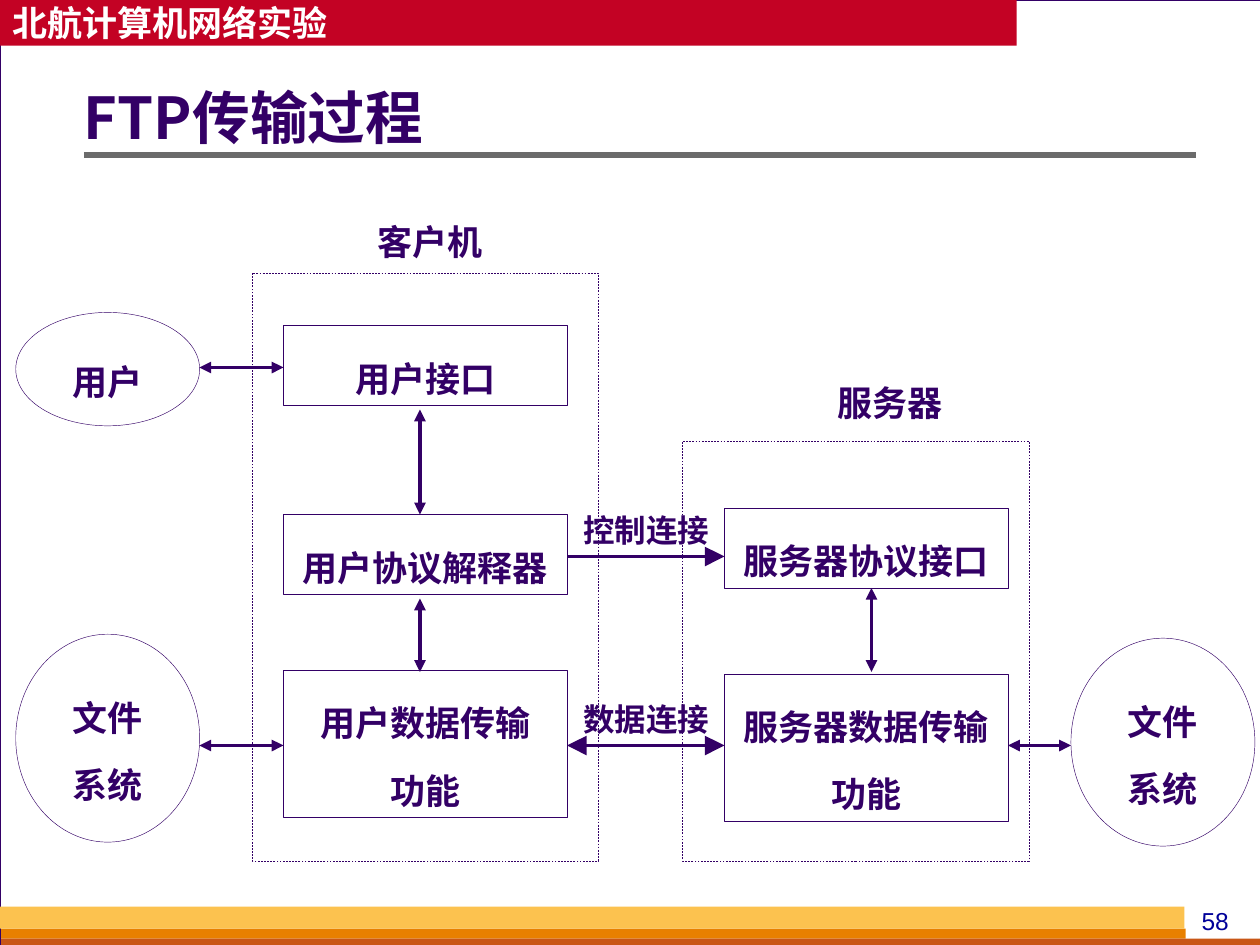
from dataclasses import dataclass
from typing import Optional

import pptx
import pptx.dml.color
import pptx.enum.dml
import pptx.enum.shapes
import pptx.enum.text
import pptx.oxml.ns
import pptx.util
from lxml import etree

COLORS = {
    "ink": "330066", "paper": "FFFFFF", "backdrop": "D8DADA", "banner": "C30224",
    "rule": "6B6B6B", "number": "000099",
    "gold": "FCC24F", "orange": "E88000", "rust": "C95616",
}
LATIN, CHINESE = "Arial", "Noto Sans CJK SC"
CELL = 1 / 12  # inches: the slide is a grid of 120 columns and 90 rows
SHAPE = pptx.enum.shapes.MSO_SHAPE
ALIGN = pptx.enum.text.PP_ALIGN
ANCHOR = pptx.enum.text.MSO_ANCHOR


@dataclass(frozen=True)
class Area:
    column: float
    row: float
    columns: float
    rows: float

    def lengths(self) -> list:
        return [cells(n) for n in (self.column, self.row, self.columns, self.rows)]


@dataclass(frozen=True)
class Node:
    lines: tuple
    area: Area
    kind: int = SHAPE.RECTANGLE


@dataclass(frozen=True)
class Arrow:
    start: tuple
    end: tuple
    size: str = "med"
    both_ways: bool = True


CLIENT_FRAME = Area(24, 26, 33, 56)
CLIENT_NODES = [
    Node(("用户接口",), Area(27, 31, 27, 7.64)),
    Node(("用户协议解释器",), Area(27, 49, 27, 7.64)),
    Node(("用户数据传输", "功能"), Area(27, 63.84, 27, 14)),
]
SERVER_FRAME = Area(65, 42, 33, 40)
SERVER_NODES = [
    Node(("服务器协议接口",), Area(69, 48.36, 27, 7.64)),
    Node(("服务器数据传输功能",), Area(69, 64.2, 27, 14)),
]
OUTER_NODES = [
    Node(("用户",), Area(1.5, 29.76, 17.52, 10.8), SHAPE.OVAL),
    Node(("文件", "系统"), Area(1.5, 60.4, 17.52, 19.8), SHAPE.OVAL),
    Node(("文件", "系统"), Area(102, 60.78, 17.52, 19.8), SHAPE.OVAL),
]
ARROWS = [
    Arrow((19, 35), (27, 35)),
    Arrow((40, 39), (40, 49)),
    Arrow((54, 53), (69, 53), "lg", both_ways=False),
    Arrow((54, 71), (69, 71), "lg"),
    Arrow((40, 57), (40, 64)),
    Arrow((83, 56), (83, 64)),
    Arrow((19, 71), (27, 71)),
    Arrow((96, 71), (102, 71)),
]
LABELS = [
    ("客户机", Area(34, 18, 14, 7.68), 20),
    ("服务器", Area(77.76, 33.36, 14, 7.68), 20),
    ("控制连接", Area(53.56, 45.96, 16, 6.96), 18),
    ("数据连接", Area(53.56, 63.9, 16, 6.96), 18),
]
BARS = [
    (Area(0.12, 88.44, 112.8, 0.96), "orange"),
    (Area(0.12, 89.4, 120, 0.6), "rust"),
    (Area(0, 86.34, 112.8, 2.1), "gold"),
]


def cells(count: float) -> int:
    return pptx.util.Inches(count * CELL)


def color(name: str):
    return pptx.dml.color.RGBColor.from_string(COLORS[name])


def write(frame, lines: tuple, size: float, ink: str = "ink", latin: str = LATIN,
          bold: bool = True, align=ALIGN.CENTER, spacing: float = 1.0) -> None:
    for index, line in enumerate(lines):
        para = frame.add_paragraph() if index else frame.paragraphs[0]
        para.text = line
        para.alignment = align
        para.line_spacing = spacing
        para.font.size = pptx.util.Pt(size)
        para.font.bold = bold
        para.font.color.rgb = color(ink)
        para.font.name = latin
        properties = para._p.pPr.find(pptx.oxml.ns.qn("a:defRPr"))
        etree.SubElement(properties, pptx.oxml.ns.qn("a:ea"), typeface=CHINESE)


def draw_shape(shapes, area: Area, fill: Optional[str] = None, line: float = 0,
               kind=SHAPE.RECTANGLE):
    shape = shapes.add_shape(kind, *area.lengths())
    shape.shadow.inherit = False
    if fill:
        shape.fill.solid()
        shape.fill.fore_color.rgb = color(fill)
    else:
        shape.fill.background()
    if line:
        shape.line.color.rgb = color("ink")
        shape.line.width = pptx.util.Pt(line)
    else:
        shape.line.fill.background()
    return shape


def draw_node(shapes, node: Node) -> None:
    shape = draw_shape(shapes, node.area, line=0.25, kind=node.kind)
    shape.text_frame.word_wrap = True
    shape.text_frame.vertical_anchor = ANCHOR.MIDDLE
    write(shape.text_frame, node.lines, 20, spacing=1.6)


def draw_host(page, frame: Area, nodes: list) -> None:
    """Group a dashed frame with the boxes inside it."""
    group = page.shapes.add_group_shape()
    border = draw_shape(group.shapes, frame, line=0.25)
    border.line.dash_style = pptx.enum.dml.MSO_LINE.DASH
    for node in nodes:
        draw_node(group.shapes, node)


def draw_line(page, start: tuple, end: tuple, ink: str, width: float):
    line = page.shapes.add_connector(
        pptx.enum.shapes.MSO_CONNECTOR.STRAIGHT, *map(cells, start + end))
    line.line.color.rgb = color(ink)
    line.line.width = pptx.util.Pt(width)
    etree.SubElement(line._element.spPr, pptx.oxml.ns.qn("a:effectLst"))
    return line


def draw_arrow(page, arrow: Arrow) -> None:
    line = draw_line(page, arrow.start, arrow.end, "ink", 2.25)
    for end in ("headEnd", "tailEnd") if arrow.both_ways else ("tailEnd",):
        etree.SubElement(line.line._get_or_add_ln(), pptx.oxml.ns.qn(f"a:{end}"),
                         type="triangle", w=arrow.size, len=arrow.size)


def draw_backdrop(page) -> None:
    page.background.fill.solid()
    page.background.fill.fore_color.rgb = color("backdrop")
    draw_shape(page.shapes, Area(0, 0, 120.12, 90), "paper", 0.75)
    banner = draw_shape(page.shapes, Area(0, 0, 96.84, 4.36), "banner")
    banner.text_frame.vertical_anchor = ANCHOR.MIDDLE
    write(banner.text_frame, ("北航计算机网络实验",), 20, "paper", CHINESE, align=ALIGN.LEFT)
    for area, fill in BARS:
        draw_shape(page.shapes, area, fill)
    number = page.shapes.add_textbox(*Area(111.96, 85.68, 7.56, 4.08).lengths())
    number.text_frame.word_wrap = True
    write(number.text_frame, ("58",), 14, "number", bold=False)
    draw_line(page, (8, 14.76), (113.88, 14.76), "rule", 3)


def draw_title(page) -> None:
    title = page.shapes.title
    title.left, title.top, title.width, title.height = Area(8, 5.46, 105.84, 12.12).lengths()
    frame = title.text_frame
    frame.margin_left = 0
    frame.vertical_anchor = ANCHOR.MIDDLE
    frame.auto_size = pptx.enum.text.MSO_AUTO_SIZE.NONE
    write(frame, ("FTP传输过程",), 33, latin=CHINESE, align=ALIGN.LEFT, spacing=0.9)
    page.shapes._spTree.append(title._element)  # bring in front of the backdrop


def main() -> None:
    deck = pptx.Presentation()
    deck.slide_width, deck.slide_height = cells(120), cells(90)
    page = deck.slides.add_slide(deck.slide_layouts[5])
    draw_backdrop(page)
    draw_title(page)
    draw_host(page, CLIENT_FRAME, CLIENT_NODES)
    draw_host(page, SERVER_FRAME, SERVER_NODES)
    for node in OUTER_NODES:
        draw_node(page.shapes, node)
    for arrow in ARROWS:
        draw_arrow(page, arrow)
    for text, area, size in LABELS:
        label = page.shapes.add_textbox(*area.lengths())
        label.text_frame.word_wrap = True
        write(label.text_frame, (text,), size, spacing=1.6)
    deck.save("out.pptx")


if __name__ == "__main__":
    main()
